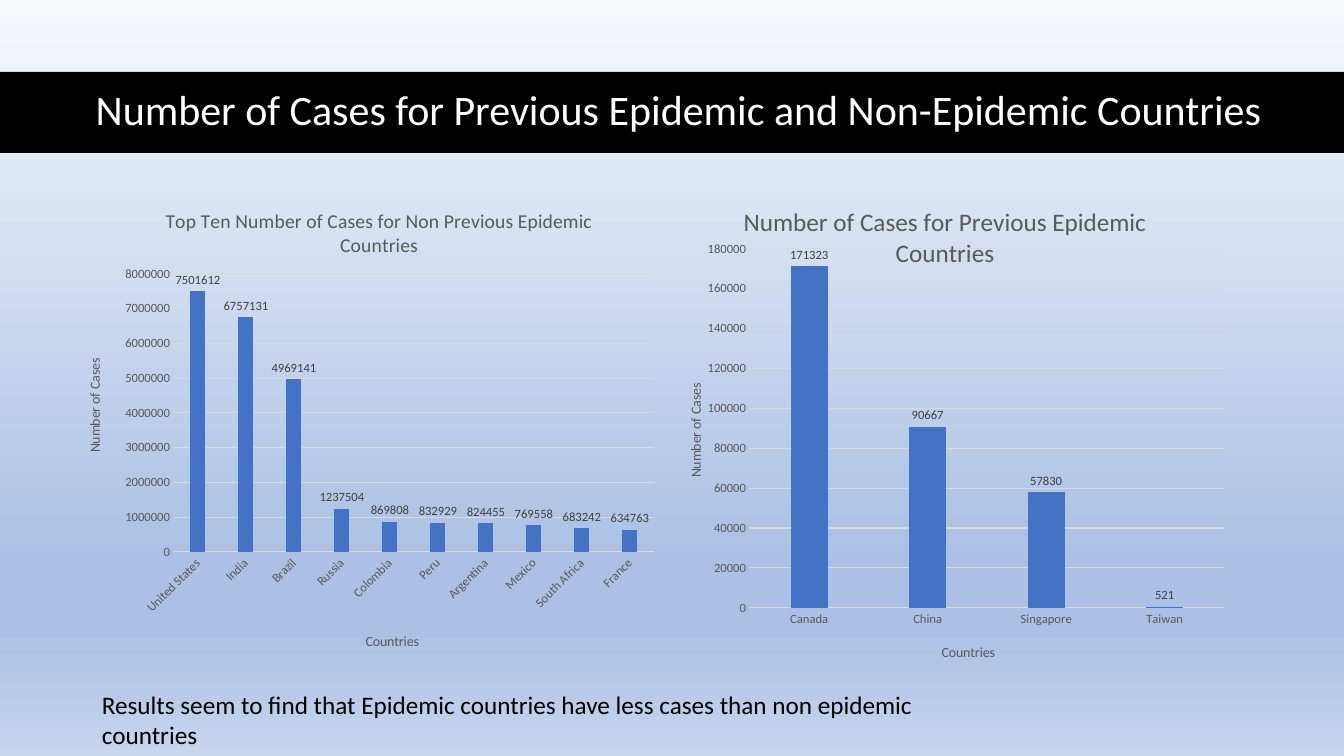
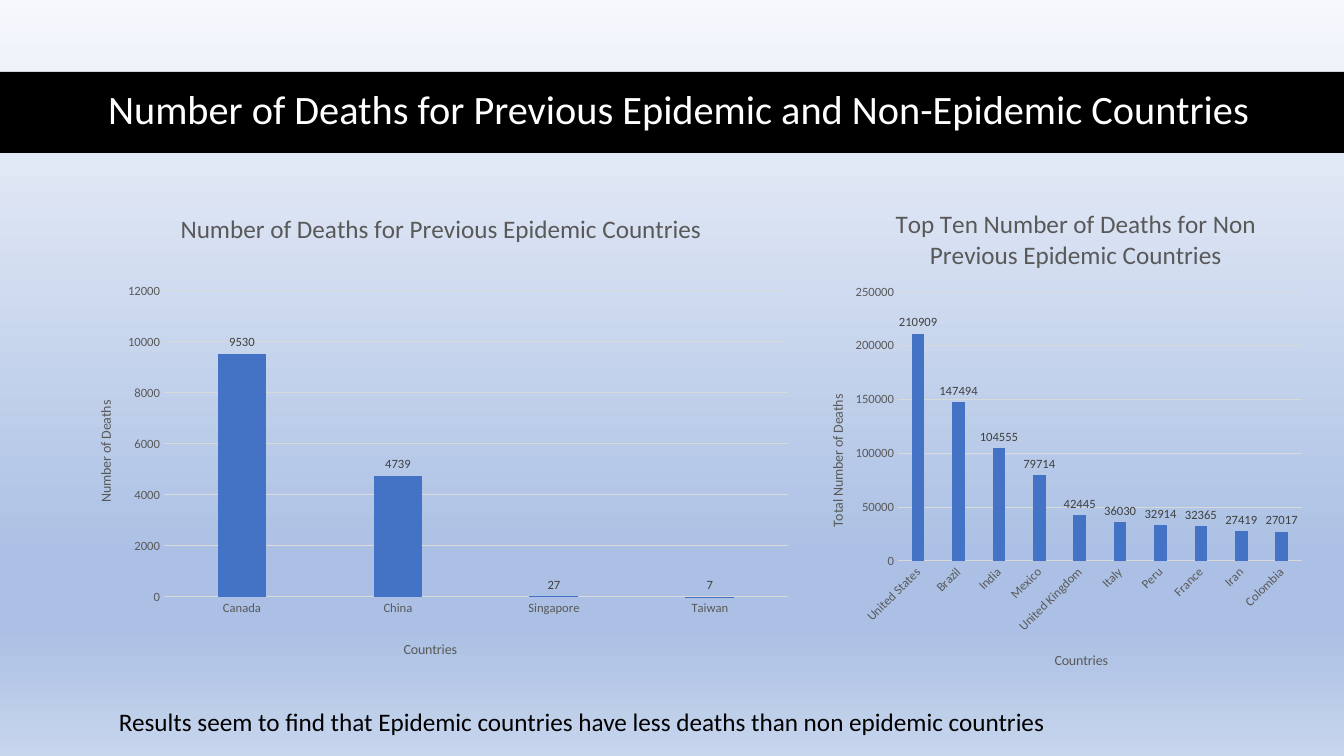
"""Build two slides comparing cases and deaths by epidemic history."""
from dataclasses import dataclass

from pptx import Presentation
from pptx import util as u
from pptx.chart.data import CategoryChartData
from pptx.dml.color import RGBColor
from pptx.enum import chart as charts, shapes, text
from pptx.oxml import parse_xml
from pptx.oxml.ns import nsdecls, qn

SCALE = u.Inches(1) / 100.8
SLIDE_SIZE = (1344, 756)
NO_FILL = (f'<c:spPr {nsdecls("c", "a")}><a:noFill/>'
           '<a:ln><a:noFill/></a:ln></c:spPr>')


@dataclass(frozen=True)
class Theme:
    font: str = "Calibri"
    band: str = "000000"
    title: str = "FFFFFF"
    body: str = "000000"
    bar: str = "4472C4"
    grid: str = "D9D9D9"
    axis: str = "595959"
    label: str = "404040"
    body_size: float = 18
    axis_title_size: float = 10
    tick_size: float = 9
    gradient: tuple = ((0, "F6F8FC"), (74, "ABC0E4"),
                       (83, "ABC0E4"), (100, "C7D5ED"))


THEME = Theme()

EPIDEMIC = ("Canada", "China", "Singapore", "Taiwan")

SLIDES = [
    {
        "title": "Number of Cases for Previous Epidemic and Non-Epidemic Countries",
        "title_size": 30,
        "result": "Results seem to find that Epidemic countries have less cases "
                  "than non epidemic countries",
        "result_box": (92, 684, 901, 71),
        "charts": [
            {
                "box": (673, 183, 597, 483),
                "plot": (750, 249, 474, 359),
                "title": "Number of Cases for Previous Epidemic Countries",
                "title_size": 18,
                "title_at": (739, 200),
                "value_title": "Number of Cases",
                "value_at": (684, 381),
                "category_at": (939, 641),
                "categories": EPIDEMIC,
                "values": (171323, 90667, 57830, 521),
            },
            {
                "box": (70, 183, 597, 483),
                "plot": (174, 274, 480, 278),
                "title": "Top Ten Number of Cases for Non Previous Epidemic Countries",
                "title_size": 14,
                "title_at": (162, 204),
                "value_title": "Number of Cases",
                "value_at": (83, 356),
                "category_at": (363, 630),
                "categories": ("United States", "India", "Brazil", "Russia",
                               "Colombia", "Peru", "Argentina", "Mexico",
                               "South Africa", "France"),
                "values": (7501612, 6757131, 4969141, 1237504, 869808,
                           832929, 824455, 769558, 683242, 634763),
                "slanted": True,
            },
        ],
    },
    {
        "title": "Number of Deaths for Previous Epidemic and Non-Epidemic Countries",
        "title_size": 28.8,
        "result": "Results seem to find that Epidemic countries have less deaths "
                  "than non epidemic countries",
        "result_box": (109, 701, 1043, 55),
        "charts": [
            {
                "box": (802, 183, 510, 502),
                "plot": (898, 292, 404, 269),
                "title": "Top Ten Number of Deaths for Non Previous Epidemic Countries",
                "title_size": 18,
                "title_at": (891, 202),
                "value_title": "Total Number of Deaths",
                "value_at": (826, 392),
                "category_at": (1052, 649),
                "categories": ("United States", "Brazil", "India", "Mexico",
                               "United Kingdom", "Italy", "Peru", "France",
                               "Iran", "Colombia"),
                "values": (210909, 147494, 104555, 79714, 42445,
                           36030, 32914, 32365, 27419, 27017),
                "slanted": True,
            },
            {
                "box": (70, 183, 732, 483),
                "plot": (164, 291, 624, 306),
                "title": "Number of Deaths for Previous Epidemic Countries",
                "title_size": 18,
                "title_at": (176, 207),
                "value_title": "Number of Deaths",
                "value_at": (94, 398),
                "category_at": (401, 638),
                "categories": EPIDEMIC,
                "values": (9530, 4739, 27, 7),
            },
        ],
    },
]


def emu(*lengths):
    """Turn px lengths into EMU."""
    return [u.Emu(round(length * SCALE)) for length in lengths]


def apply(target, values):
    """Set every attribute named in a dict of format values."""
    for name, value in values.items():
        setattr(target, name, value)


def set_font(font, size, color):
    """Give a font the theme face with a size and colour."""
    apply(font, {"name": THEME.font, "size": u.Pt(size), "bold": False})
    font.color.rgb = RGBColor.from_string(color)


def set_line(line, color):
    """Draw a thin solid line."""
    line.width = u.Pt(0.75)
    line.color.rgb = RGBColor.from_string(color)


def set_background(master):
    """Fill the master background with the vertical theme gradient."""
    fill = master.background.fill
    fill.gradient()
    fill.gradient_angle = 270
    stops = master.element.find(".//" + qn("a:gsLst"))
    for stop in list(stops):
        stops.remove(stop)
    for position, color in THEME.gradient:
        stops.append(parse_xml(
            f'<a:gs {nsdecls("a")} pos="{position * 1000}">'
            f'<a:srgbClr val="{color}"/></a:gs>'))


def add_text(slide, box, content, size, color, frame_format, paragraph_format):
    """Add a wrapped text box holding one paragraph."""
    frame = slide.shapes.add_textbox(*emu(*box)).text_frame
    apply(frame, {"word_wrap": True, **frame_format})
    paragraph = frame.paragraphs[0]
    apply(paragraph, paragraph_format)
    run = paragraph.add_run()
    run.text = content
    set_font(run.font, size, color)


def add_title_band(slide, title, size):
    """Add the full-width band and its centred title."""
    band = slide.shapes.add_shape(
        shapes.MSO_SHAPE.RECTANGLE, *emu(0, 72, SLIDE_SIZE[0], 81))
    band.shadow.inherit = False
    band.fill.solid()
    band.fill.fore_color.rgb = RGBColor.from_string(THEME.band)
    band.line.fill.background()
    add_text(slide, (61, 71, 1236, 81), title, size, THEME.title,
             {"vertical_anchor": text.MSO_ANCHOR.MIDDLE},
             {"alignment": text.PP_ALIGN.CENTER, "line_spacing": 0.9})


def place(element, index, box, area):
    """Fix a chart part at a slide position, and at a size if one is given."""
    for layout in element.findall(qn("c:layout")):
        element.remove(layout)
    left, top, width, height = box
    parts = [("x", (area[0] - left) / width), ("y", (area[1] - top) / height)]
    target = ""
    if len(area) == 4:
        parts += [("w", area[2] / width), ("h", area[3] / height)]
        target = '<c:layoutTarget val="inner"/>'
    modes = "".join(f'<c:{name}Mode val="edge"/>' for name in "xy")
    values = "".join(f'<c:{name} val="{value:.4f}"/>' for name, value in parts)
    element.insert(index, parse_xml(
        f'<c:layout {nsdecls("c")}><c:manualLayout>{target}{modes}{values}'
        '</c:manualLayout></c:layout>'))


def set_chart_title(title, content, size, box, position):
    """Write and place a chart title or an axis title."""
    paragraph = title.text_frame.paragraphs[0]
    run = paragraph.add_run()
    run.text = content
    set_font(run.font, size, THEME.axis)
    place(title.element, 1, box, position)


def rotate(body, degrees):
    """Turn the text of a body properties element."""
    body.set("rot", str(degrees * 60000))
    body.set("vert", "horz")


def format_axes(chart, details):
    """Style both axes and their titles."""
    titles = ((chart.category_axis, "Countries", "category_at"),
              (chart.value_axis, details["value_title"], "value_at"))
    for axis, content, position in titles:
        apply(axis, {"major_tick_mark": charts.XL_TICK_MARK.NONE,
                     "minor_tick_mark": charts.XL_TICK_MARK.NONE})
        set_font(axis.tick_labels.font, THEME.tick_size, THEME.axis)
        set_chart_title(axis.axis_title, content, THEME.axis_title_size,
                        details["box"], details[position])
    set_line(chart.category_axis.format.line, THEME.grid)
    chart.value_axis.format.line.fill.background()
    set_line(chart.value_axis.major_gridlines.format.line, THEME.grid)
    rotate(chart.value_axis.axis_title.element.xpath(".//a:bodyPr")[0], -90)
    if details.get("slanted"):
        rotate(chart.element.xpath(".//c:catAx/c:txPr/a:bodyPr")[0], -45)


def add_column_chart(slide, details):
    """Add one labelled column chart on a clear ground."""
    data = CategoryChartData(number_format="General")
    data.categories = details["categories"]
    data.add_series("Series 1", details["values"])
    chart = slide.shapes.add_chart(
        charts.XL_CHART_TYPE.COLUMN_CLUSTERED, *emu(*details["box"]), data).chart
    set_font(chart.font, THEME.axis_title_size, THEME.body)
    apply(chart, {"has_legend": False, "has_title": True})
    set_chart_title(chart.chart_title, details["title"], details["title_size"],
                    details["box"], details["title_at"])
    format_axes(chart, details)
    plot = chart.plots[0]
    apply(plot, {"gap_width": 219, "overlap": -27,
                 "vary_by_categories": False, "has_data_labels": True})
    apply(plot.data_labels, {"show_value": True,
                             "position": charts.XL_LABEL_POSITION.OUTSIDE_END})
    set_font(plot.data_labels.font, THEME.tick_size, THEME.label)
    fill = plot.series[0].format.fill
    fill.solid()
    fill.fore_color.rgb = RGBColor.from_string(THEME.bar)
    plot_area = chart.element.xpath("c:chart/c:plotArea")[0]
    place(plot_area, 0, details["box"], details["plot"])
    plot_area.append(parse_xml(NO_FILL))
    chart.element.xpath("c:chart")[0].addnext(parse_xml(NO_FILL))


def main():
    """Build and save the presentation."""
    presentation = Presentation()
    width, height = emu(*SLIDE_SIZE)
    apply(presentation, {"slide_width": width, "slide_height": height})
    set_background(presentation.slide_master)
    for content in SLIDES:
        slide = presentation.slides.add_slide(presentation.slide_layouts[6])
        add_title_band(slide, content["title"], content["title_size"])
        for details in content["charts"]:
            add_column_chart(slide, details)
        add_text(slide, content["result_box"], content["result"],
                 THEME.body_size, THEME.body, {}, {})
    presentation.save("out.pptx")


if __name__ == "__main__":
    main()
